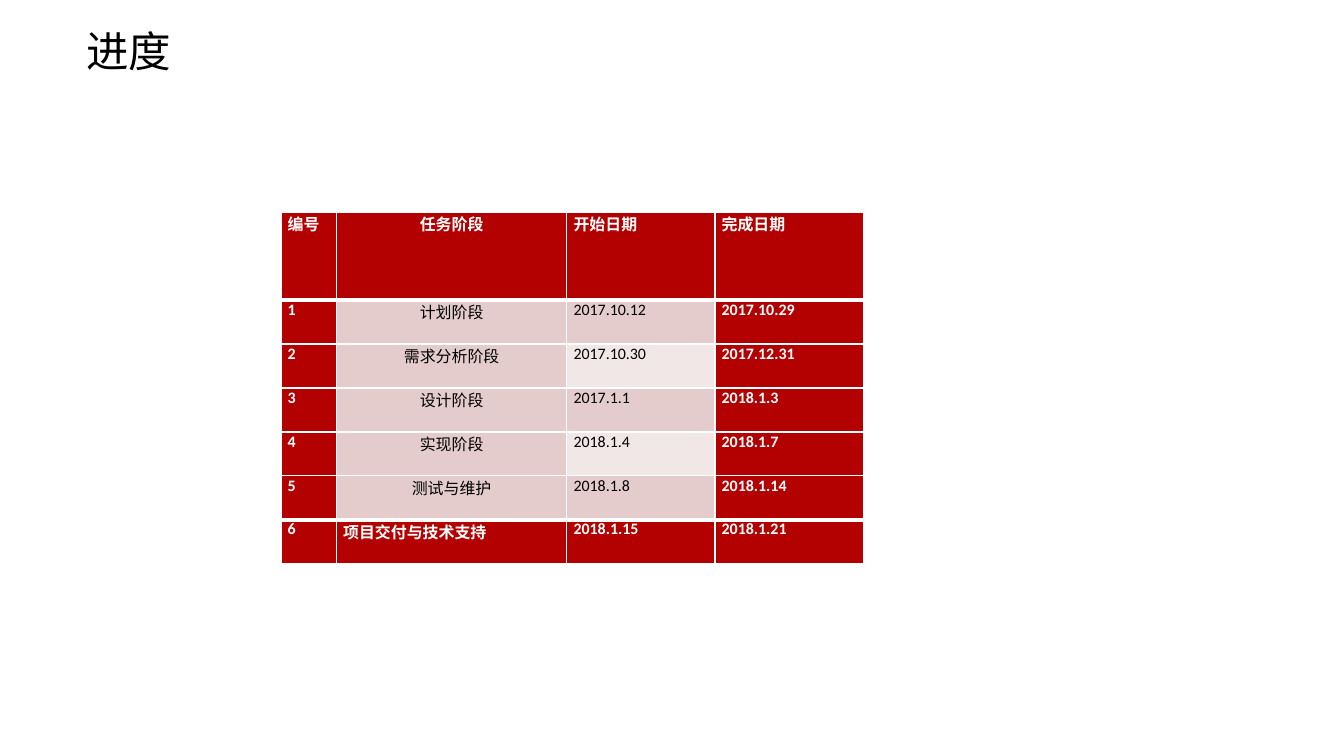
from lxml import etree
from pptx import Presentation
from pptx.dml.color import RGBColor
from pptx.enum.text import MSO_ANCHOR, MSO_AUTO_SIZE, PP_ALIGN
from pptx.oxml.ns import qn
from pptx.util import Inches, Pt

LEFT, CENTER = PP_ALIGN.LEFT, PP_ALIGN.CENTER
MIDDLE = MSO_ANCHOR.MIDDLE
FIT_SHAPE = MSO_AUTO_SIZE.SHAPE_TO_FIT_TEXT
TITLE_ONLY = 5
FONT = "Calibri"
RED, PINK, PALE = "B30000", "E5CCCC", "F2E7E7"
WHITE, BLACK = "FFFFFF", "000000"
TITLE_BOX = (0.9, 0.26, 3.07, 0.54)
SCHEDULE_BOX = (2.94, 2.22, 6.09, 3.68)
COLUMN_WIDTHS = (0.58, 2.41, 1.55, 1.55)
TASK, START = 1, 2
SCHEDULE = (
    ("编号", "任务阶段", "开始日期", "完成日期"),
    ("1", "计划阶段", "2017.10.12", "2017.10.29"),
    ("2", "需求分析阶段", "2017.10.30", "2017.12.31"),
    ("3", "设计阶段", "2017.1.1", "2018.1.3"),
    ("4", "实现阶段", "2018.1.4", "2018.1.7"),
    ("5", "测试与维护", "2018.1.8", "2018.1.14"),
    ("6", "项目交付与技术支持", "2018.1.15", "2018.1.21"),
)
LAST = len(SCHEDULE) - 1


def color(value):
    return RGBColor.from_string(value)


def format_paragraph(para, size, text_color, bold, alignment):
    para.alignment = alignment
    para.font.name = FONT
    para.font.size = Pt(size)
    para.font.bold = bold
    para.font.color.rgb = color(text_color)


def add_title(page, box):
    title = page.shapes.title
    title.left, title.top, title.width, title.height = map(Inches, box)
    frame = title.text_frame
    frame.margin_left = frame.margin_right = 0
    frame.margin_top = frame.margin_bottom = 0
    frame.vertical_anchor = MIDDLE
    frame.auto_size = FIT_SHAPE
    frame.text = "进度"
    format_paragraph(frame.paragraphs[0], 32, BLACK, False, LEFT)


def set_borders(cell, top, bottom):
    properties = cell._tc.get_or_add_tcPr()
    for side, width in (("L", 1), ("R", 1), ("T", top), ("B", bottom)):
        line = etree.SubElement(properties, qn(f"a:ln{side}"), w=str(Pt(width)))
        fill = etree.SubElement(line, qn("a:solidFill"))
        etree.SubElement(fill, qn("a:srgbClr"), val=WHITE)


def cell_fill(row, column):
    if row in (0, LAST) or column not in (TASK, START):
        return RED
    return PALE if column == START and row % 2 == 0 else PINK


def format_cell(cell, row, column):
    cell.margin_left = cell.margin_right = Inches(0.07)
    cell.margin_top = cell.margin_bottom = 0
    set_borders(cell, 3 if row in (1, LAST) else 1, 3 if row in (0, LAST - 1) else 1)
    background = cell_fill(row, column)
    cell.fill.solid()
    cell.fill.fore_color.rgb = color(background)
    cell.text = SCHEDULE[row][column]
    strong = background == RED
    alignment = CENTER if column == TASK and row != LAST else LEFT
    format_paragraph(cell.text_frame.paragraphs[0], 12, WHITE if strong else BLACK, strong, alignment)


def add_schedule(page, box):
    frame = page.shapes.add_table(len(SCHEDULE), len(COLUMN_WIDTHS), *map(Inches, box))
    table = frame.table
    for column, width in zip(table.columns, COLUMN_WIDTHS):
        column.width = Inches(width)
    unit = box[3] / (len(SCHEDULE) + 1)
    for row, table_row in enumerate(table.rows):
        table_row.height = Inches(unit * (2 if row == 0 else 1))
        for column, cell in enumerate(table_row.cells):
            format_cell(cell, row, column)


def main():
    deck = Presentation()
    deck.slide_width, deck.slide_height = Inches(14.06), Inches(7.91)
    page = deck.slides.add_slide(deck.slide_layouts[TITLE_ONLY])
    add_title(page, TITLE_BOX)
    add_schedule(page, SCHEDULE_BOX)
    deck.save("out.pptx")


if __name__ == "__main__":
    main()
